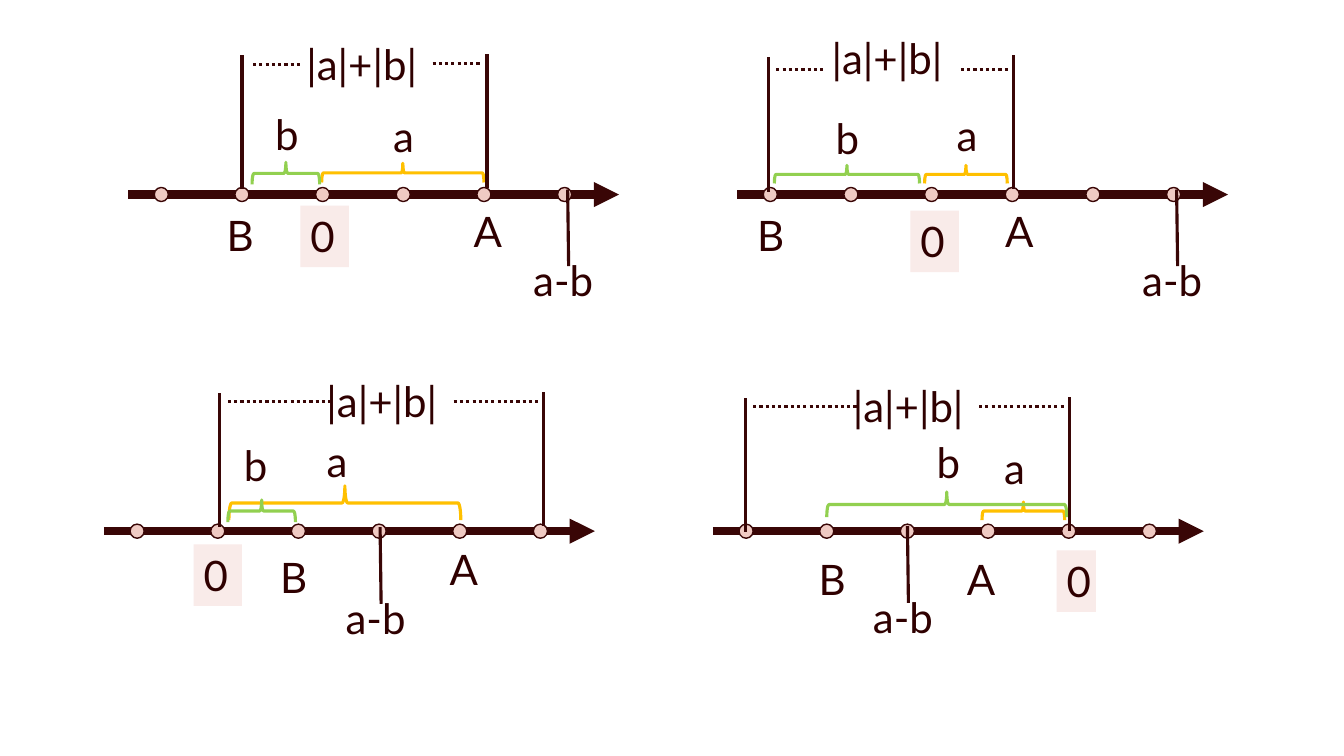
import dataclasses

import pptx
import pptx.dml.color
import pptx.enum.dml
import pptx.enum.shapes
import pptx.enum.text
import pptx.oxml
import pptx.oxml.ns
import pptx.util

Inches = pptx.util.Inches
Pt = pptx.util.Pt
RGB = pptx.dml.color.RGBColor.from_string
SHAPE = pptx.enum.shapes.MSO_SHAPE


@dataclasses.dataclass
class Theme:
    ink: object = RGB("390606")
    dot: object = RGB("EFCAC3")
    zero: object = RGB("F9EBE9")
    green: object = RGB("92D050")
    gold: object = RGB("FFC000")
    thick: object = Pt(6)
    mid: object = Pt(2.25)
    thin: object = Pt(1)
    space: object = Pt(30)
    font: dict = dataclasses.field(default_factory=lambda: {
        "name": "Lato", "size": Pt(30)})
    text: object = RGB("2F0000")


theme = Theme()
deck = pptx.Presentation()
deck.slide_width, deck.slide_height = Inches(13.33), Inches(7.5)
slide = deck.slides.add_slide(deck.slide_layouts[6])
shapes = slide.shapes


def label(text, x, y, w, h, space=None):
    box = shapes.add_textbox(Inches(x), Inches(y), Inches(w), Inches(h))
    frame = box.text_frame
    frame.word_wrap = True
    frame.auto_size = pptx.enum.text.MSO_AUTO_SIZE.SHAPE_TO_FIT_TEXT
    para = frame.paragraphs[0]
    para.line_spacing = space
    run = para.add_run()
    run.text = text
    for key, value in theme.font.items():
        setattr(run.font, key, value)
    run.font.color.rgb = theme.text
    return box


def rule(x1, y1, x2, y2, width=theme.mid, dash=None, head=False):
    """Draw a straight line, dotted or with an arrowhead if asked."""
    line = shapes.add_connector(
        pptx.enum.shapes.MSO_CONNECTOR.STRAIGHT,
        Inches(x1), Inches(y1), Inches(x2), Inches(y2))
    line.line.color.rgb = theme.ink
    line.line.width = width
    if dash:
        line.line.dash_style = dash
    if head:
        end = pptx.oxml.parse_xml(
            f'<a:tailEnd {pptx.oxml.ns.nsdecls("a")} type="triangle"/>')
        line.line._get_or_add_ln().append(end)
    line._element.spPr.append(pptx.oxml.parse_xml(
        f'<a:effectLst {pptx.oxml.ns.nsdecls("a")}/>'))


# axis: left, y; points and names: left, top; zero: left, top, width
# braces: left, top, span, depth; sides: x, top; diff: x, top
# dots: start, end, y
panels = [
    {"axis": (1.27, 1.93), "zero": (2.98, 2.04, 0.48),
     "points": {"A": (4.6, 1.99), "B": (2.15, 2.03)},
     "braces": {"gold": (3.19, 1.62, 1.61, 0.19),
                "green": (2.5, 1.61, 0.67, 0.22)},
     "names": {"a": (3.8, 1.13), "b": (2.63, 1.11)},
     "sides": [(2.4, 0.55), (4.83, 0.54)], "total": (2.94, 0.42),
     "dots": [(2.51, 3, 0.64), (4.29, 4.78, 0.63)], "diff": (5.63, 1.88)},
    {"axis": (7.31, 1.93), "zero": (9.03, 2.09, 0.48),
     "points": {"A": (9.87, 1.99), "B": (7.41, 2.03)},
     "braces": {"gold": (9.17, 1.64, 0.82, 0.18),
                "green": (7.68, 1.64, 1.44, 0.18)},
     "names": {"a": (9.39, 1.12), "b": (8.19, 1.15)},
     "sides": [(7.62, 0.57), (10.05, 0.55)], "total": (8.15, 0.36),
     "dots": [(7.7, 8.19, 0.69), (9.53, 10.02, 0.69)],
     "diff": (11.67, 1.88)},
    {"axis": (1.03, 5.27), "zero": (1.92, 5.4, 0.48),
     "points": {"A": (4.36, 5.34), "B": (2.68, 5.42)},
     "braces": {"gold": (2.27, 4.82, 2.3, 0.34),
                "green": (2.26, 4.96, 0.67, 0.22)},
     "names": {"a": (3.14, 4.36), "b": (2.32, 4.39)},
     "sides": [(2.18, 3.9), (5.39, 3.89)], "total": (3.14, 3.76),
     "dots": [(2.26, 3.31, 3.98), (4.5, 5.35, 3.98)], "diff": (3.77, 5.23)},
    {"axis": (7.07, 5.27), "zero": (10.48, 5.46, 0.39),
     "points": {"A": (9.49, 5.44), "B": (8.02, 5.44)},
     "braces": {"gold": (9.74, 4.98, 0.82, 0.18),
                "green": (8.2, 4.88, 2.38, 0.25)},
     "names": {"a": (9.86, 4.42), "b": (9.19, 4.37)},
     "sides": [(7.39, 3.95), (10.61, 3.94)], "total": (8.36, 3.81),
     "dots": [(7.47, 8.52, 4.03), (9.71, 10.56, 4.03)], "diff": (9, 5.22)},
]

for panel in panels:
    left, mid = panel["axis"]
    rule(left, mid, left + 4.87, mid, theme.thick, head=True)
    for step in range(6):
        dot = shapes.add_shape(
            SHAPE.OVAL, Inches(left + 0.26 + 0.8 * step), Inches(mid - 0.07),
            Inches(0.14), Inches(0.14))
        dot.shadow.inherit = False
        dot.fill.solid()
        dot.fill.fore_color.rgb = theme.dot
        dot.line.color.rgb = theme.ink
        dot.line.width = theme.thin

    x, y, wide = panel["zero"]
    zero = label("0", x, y, wide, 0.61)
    zero.fill.solid()
    zero.fill.fore_color.rgb = theme.zero
    for name, (x, y) in panel["points"].items():
        label(name, x, y, 0.48, 0.61)

    for hue, (x, y, span, depth) in panel["braces"].items():
        # The quarter turn swaps width and height about the centre.
        shift = (span - depth) / 2
        brace = shapes.add_shape(
            SHAPE.LEFT_BRACE, Inches(x + shift), Inches(y - shift),
            Inches(depth), Inches(span))
        brace.rotation = 90
        brace.shadow.inherit = False
        brace.fill.background()
        brace.line.color.rgb = getattr(theme, hue)
        brace.line.width = theme.mid
    for name, (x, y) in panel["names"].items():
        label(name, x, y, 0.85, 0.56, theme.space)

    x, y = panel["diff"]
    label("a-b", x - 0.44, y + 0.68, 1.29, 0.54, theme.space)
    rule(x, y, x + 0.01, y + 0.76)
    for x, y in panel["sides"]:
        rule(x, y, x, y + 1.33)
    label("|a|+|b|", *panel["total"], 1.7, 0.54, theme.space)
    for start, end, y in panel["dots"]:
        rule(start, y, end, y, dash=pptx.enum.dml.MSO_LINE.ROUND_DOT)

deck.save("out.pptx")
